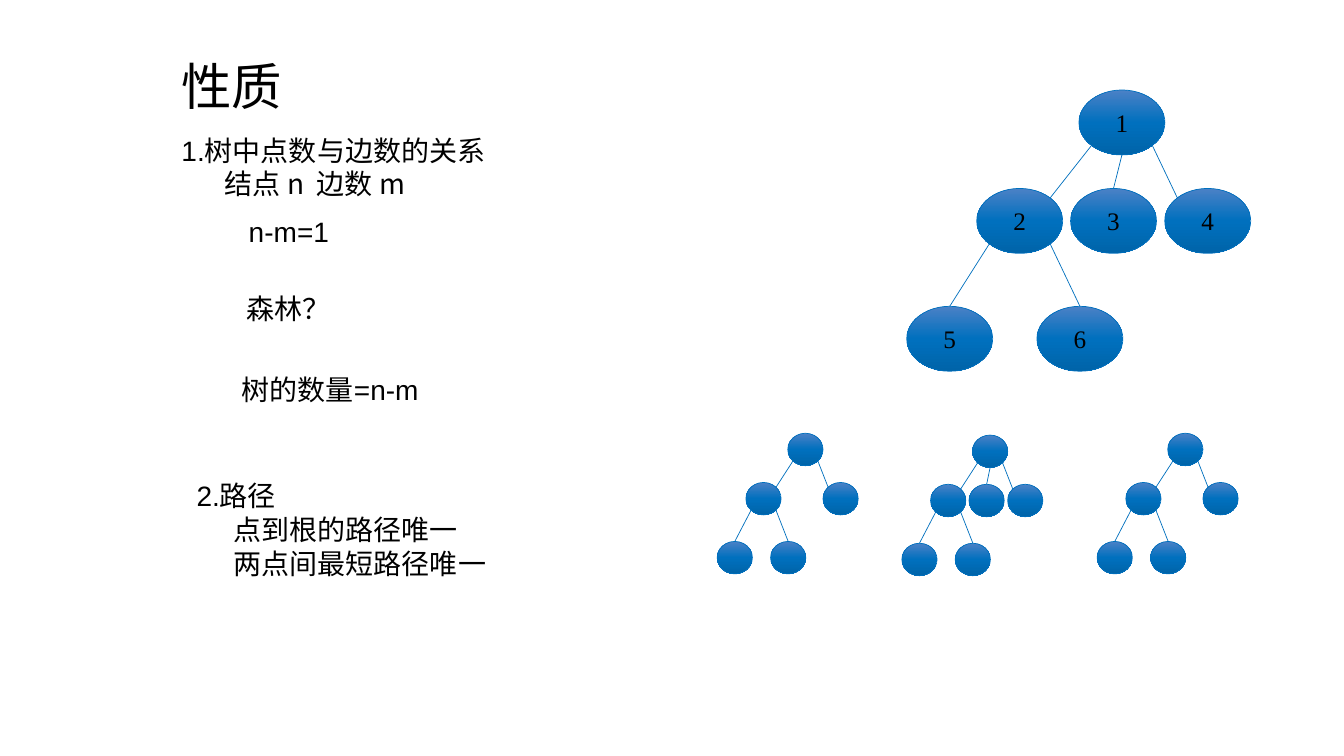
from copy import deepcopy
from dataclasses import dataclass
from math import sqrt

from pptx import Presentation, util as u
from pptx.dml.color import RGBColor
from pptx.enum import shapes, text
from pptx.oxml.ns import qn

COLORS = {"text": "000000", "line": "0070BE",
          "top": "4B81C6", "middle": "0070BE", "bottom": "0064A9"}
SANS, SERIF, CJK = "Arial", "Times New Roman", "Noto Sans CJK SC"
NODE_W, NODE_H = 61.4, 46.4
# Node offsets within a full-size tree
NODES = {"1": (123, 0), "2": (50, 70.3), "3": (117, 70.3),
         "4": (184.3, 70.3), "5": (0, 154.5), "6": (93, 154.5)}
D = 1 / sqrt(2)
# Points on a node's rim, as unit-circle coordinates
RIM = {"top": (0, -1), "bottom": (0, 1), "upper left": (-D, -D),
       "upper right": (D, -D), "lower left": (-D, D), "lower right": (D, D)}


@dataclass
class Edge:
    parent: str
    start: str
    child: str
    end: str


EDGES = [Edge("1", "lower left", "2", "upper right"),
         Edge("1", "bottom", "3", "top"),
         Edge("1", "lower right", "4", "upper left"),
         Edge("2", "lower left", "5", "top"),
         Edge("2", "lower right", "6", "top")]


@dataclass
class Tree:
    left: float
    top: float
    names: str
    x_scale: float = 0.41
    y_scale: float = 0.5
    labelled: bool = False


@dataclass
class Note:
    left: float
    top: float
    width: float
    words: str


TREES = [Tree(647.7, 64.3, "123456", 1, 1, True),
         Tree(512.3, 309.5, "12456"),
         Tree(644.2, 310.8, "123456"),
         Tree(783.7, 309.5, "12456")]
NOTES = [Note(170.6, 149.8, 142.6, "n-m=1"),
         Note(169.2, 204.5, 177.8, "森林？"),
         Note(165.6, 262.8, 172.8, "树的数量=n-m")]


def rgb(name: str) -> RGBColor:
    return RGBColor.from_string(COLORS[name])


def place(sp, left: float, top: float, width: float, height: float) -> None:
    sp.left, sp.top, sp.width, sp.height = map(u.Pt, (left, top, width, height))


def write(p, words: str, *, size: float = 20, font: str = SANS,
          align=text.PP_ALIGN.LEFT, indent: float = 0) -> None:
    """Fill one paragraph with plain, unbulleted text."""
    p.alignment = align
    p.space_before = u.Pt(0)
    pPr = p._p.get_or_add_pPr()
    pPr.set("marL", str(u.Pt(indent)))
    pPr.set("indent", "0")
    pPr.append(pPr.makeelement(qn("a:buNone"), {}))
    r = p.add_run()
    r.text = words
    r.font.size, r.font.name, r.font.color.rgb = u.Pt(size), font, rgb("text")
    rPr = r._r.get_or_add_rPr()
    rPr.append(rPr.makeelement(qn("a:ea"), {"typeface": CJK}))


def write_list(sp, head: str, items: list[str], **item_format) -> None:
    tf = sp.text_frame
    tf.auto_size = text.MSO_AUTO_SIZE.NONE
    write(tf.paragraphs[0], head)
    for item in items:
        write(tf.add_paragraph(), item, **item_format)


def draw_tree(s, tree: Tree) -> None:
    grp = s.shapes.add_group_shape()
    w, h = NODE_W * tree.x_scale, NODE_H * tree.y_scale

    def corner(name: str) -> tuple[float, float]:
        x, y = NODES[name]
        return tree.left + x * tree.x_scale, tree.top + y * tree.y_scale

    def rim(name: str, side: str) -> tuple[float, float]:
        (x, y), (dx, dy) = corner(name), RIM[side]
        return x + w / 2 * (1 + dx), y + h / 2 * (1 + dy)

    for name in tree.names:
        sp = grp.shapes.add_shape(shapes.MSO_SHAPE.OVAL,
                                  *map(u.Pt, (*corner(name), w, h)))
        sp.shadow.inherit = False
        sp.fill.gradient()
        sp.fill.gradient_angle = 270
        stops = sp._element.spPr.find(".//" + qn("a:gsLst"))
        stops.insert(1, deepcopy(stops[0]))
        for i, (stop, color) in enumerate(
                zip(sp.fill.gradient_stops, ("top", "middle", "bottom"))):
            stop.position, stop.color.rgb = i / 2, rgb(color)
        sp.line.color.rgb, sp.line.width = rgb("line"), u.Pt(0.5)
        if tree.labelled:
            sp.text_frame.vertical_anchor = text.MSO_ANCHOR.MIDDLE
            write(sp.text_frame.paragraphs[0], name, size=18, font=SERIF,
                  align=text.PP_ALIGN.CENTER)

    for e in EDGES:
        if e.child in tree.names:
            ends = (*rim(e.parent, e.start), *rim(e.child, e.end))
            cxn = grp.shapes.add_connector(shapes.MSO_CONNECTOR.STRAIGHT,
                                           *map(u.Pt, ends))
            cxn.line.color.rgb, cxn.line.width = rgb("line"), u.Pt(0.5)
            spPr = cxn._element.spPr
            spPr.append(spPr.makeelement(qn("a:effectLst"), {}))


def main() -> None:
    prs = Presentation()
    prs.slide_width, prs.slide_height = u.Pt(960), u.Pt(540)
    s = prs.slides.add_slide(prs.slide_layouts.get_by_name("Two Content"))
    title, edge_list, path_list = s.placeholders

    place(title, 122.4, 23.8, 715, 74.2)
    title.text_frame.vertical_anchor = text.MSO_ANCHOR.MIDDLE
    write(title.text_frame.paragraphs[0], "性质", size=36)

    place(edge_list, 122.4, 91.4, 758.2, 55.4)
    write_list(edge_list, "1.树中点数与边数的关系", ["结点 n  边数 m"],
               font=CJK, indent=31)

    place(path_list, 133.2, 338.4, 257.8, 79.2)
    write_list(path_list, "2.路径", ["点到根的路径唯一", "两点间最短路径唯一"],
               indent=26.5)

    for note in NOTES:
        sp = s.shapes.add_textbox(*map(u.Pt, (note.left, note.top, note.width, 31)))
        sp.text_frame.word_wrap = True
        write(sp.text_frame.paragraphs[0], note.words)
    for tree in TREES:
        draw_tree(s, tree)
    prs.save("out.pptx")


if __name__ == "__main__":
    main()
